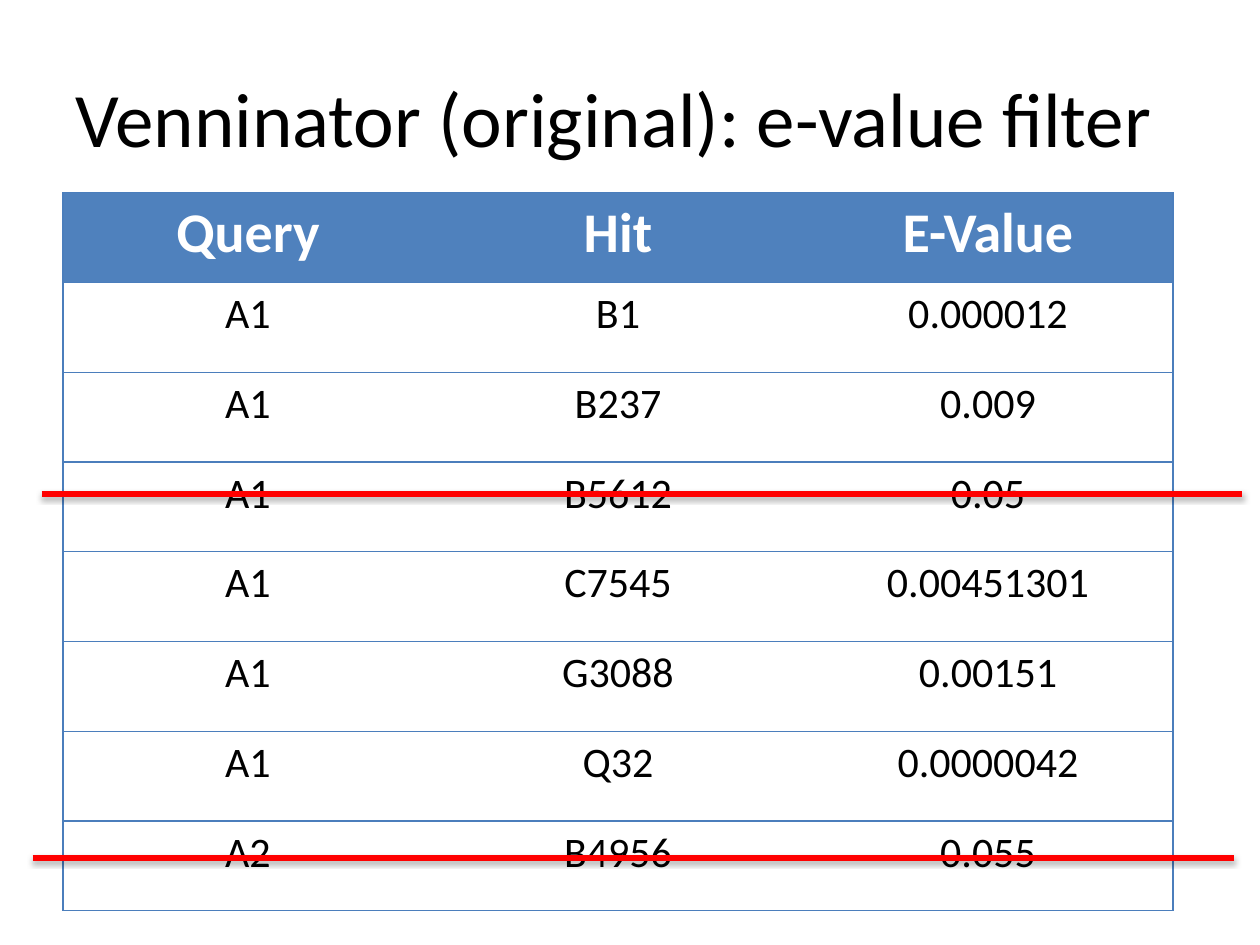
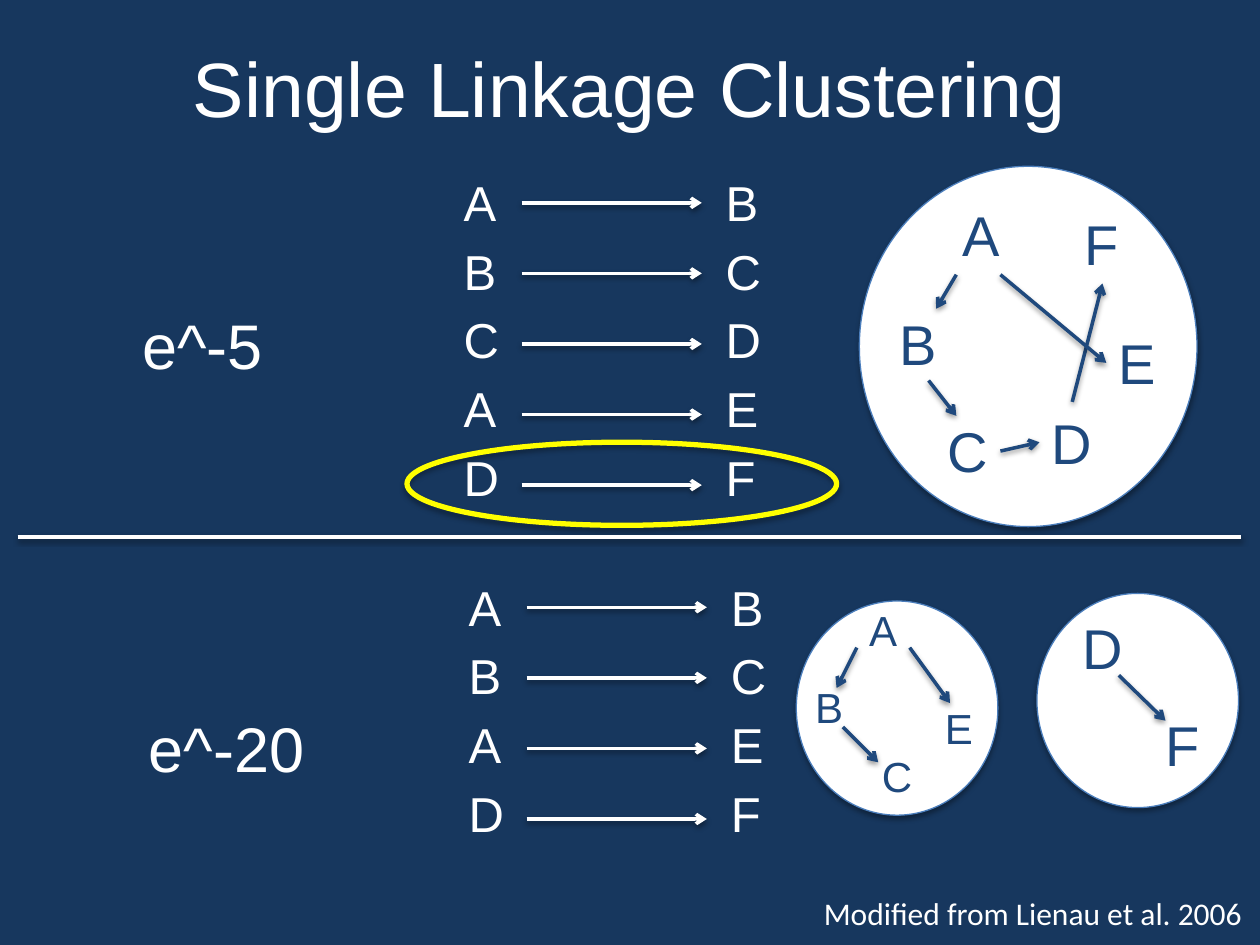
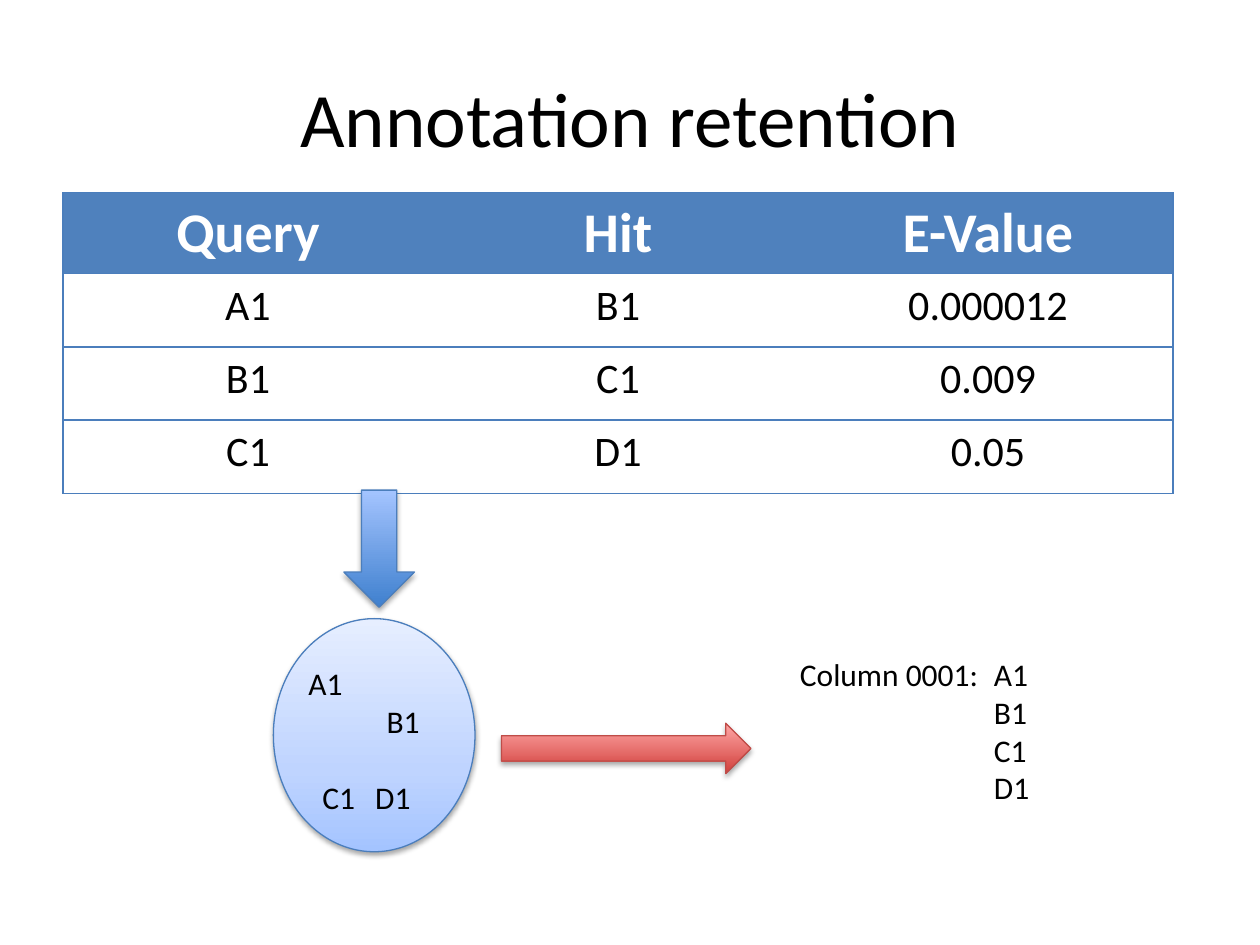
from dataclasses import dataclass

from lxml import etree
from pptx import Presentation
from pptx import util as u
from pptx.dml.color import RGBColor
from pptx.enum import shapes, text
from pptx.oxml.ns import qn

COLS, ROWS = 10, 7.5  # slide grid
PLAIN_TABLE = "{2D5ABB26-0587-4C30-8999-92F81FD0307C}"


@dataclass(frozen=True)
class Theme:
    sans: str = "Arial"
    body: str = "Calibri"
    black: str = "000000"
    white: str = "FFFFFF"
    navy: str = "17375E"
    ink: str = "1F497D"
    header: str = "4F81BD"
    edge: str = "4B7EBC"
    red: str = "FF0000"
    red_edge: str = "BF4C48"
    yellow: str = "FFFF00"
    blue_fade: tuple = ((0, "3F80CE"), (100, "A4C4FF"))
    pale_fade: tuple = ((0, "A4C4FF"), (35, "BFD4FF"), (100, "E6EEFF"))
    red_fade: tuple = ((0, "D1403C"), (100, "FFA6A5"))
    title: int = 44
    level: int = 36
    head: int = 32
    pair: int = 28
    cell: int = 24
    note: int = 18
    hair: float = 0.75
    thin: float = 2
    bold: float = 3


T = Theme()
ADVANCE = {"A": 0.67, "B": 0.67, "C": 0.72, "D": 0.72, "E": 0.67, "F": 0.61}


def grid(*lengths):
    """Turn grid columns or rows into slide lengths."""
    return [u.Inches(n) for n in lengths]


def rgb(color):
    return RGBColor.from_string(color)


def xml(parent, tag, **attrs):
    return etree.SubElement(parent, qn(tag), {k: str(v) for k, v in attrs.items()})


# ---- formatting ----
def style_text(tf, size, color, font=T.body, bold=False, align=None):
    for p in tf.paragraphs:
        p.alignment = align
        for r in p.runs:
            r.font.size, r.font.name, r.font.bold = u.Pt(size), font, bold
            r.font.color.rgb = rgb(color)


def set_tabs(p, *stops):
    tabs = xml(p._p.get_or_add_pPr(), "a:tabLst")
    for stop in grid(*stops):
        xml(tabs, "a:tab", pos=stop, algn="l")


def add_shadow(sp, blur=3.1, dist=1.6, alpha=38):
    spPr = sp._element.spPr
    effects = spPr.find(qn("a:effectLst"))
    if effects is None:
        effects = xml(spPr, "a:effectLst")
    outer = xml(effects, "a:outerShdw", blurRad=u.Pt(blur), dist=u.Pt(dist),
                dir=90 * 60000, rotWithShape=0)
    xml(xml(outer, "a:srgbClr", val=T.black), "a:alpha", val=alpha * 1000)


def fade(sp, stops):
    sp.fill.gradient()
    sp.fill.gradient_angle = 90
    gs_list = sp._element.spPr.find(qn("a:gradFill")).find(qn("a:gsLst"))
    for gs in list(gs_list):
        gs_list.remove(gs)
    for pos, color in stops:
        xml(xml(gs_list, "a:gs", pos=pos * 1000), "a:srgbClr", val=color)


# ---- elements ----
def new_slide(prs, layout, title, box, color=T.black, font=T.body, align=text.PP_ALIGN.CENTER):
    slide = prs.slides.add_slide(prs.slide_layouts.get_by_name(layout))
    sp = slide.shapes.title
    sp.left, sp.top, sp.width, sp.height = grid(*box)
    sp.text_frame.text = title
    style_text(sp.text_frame, T.title, color, font, align=align)
    return slide


def add_figure(slide, kind, box, fill=None, line=T.edge, width=T.hair):
    sp = slide.shapes.add_shape(kind, *grid(*box))
    sp.shadow.inherit = False
    if fill is None:
        sp.fill.background()
    elif isinstance(fill, tuple):
        fade(sp, fill)
    else:
        sp.fill.solid()
        sp.fill.fore_color.rgb = rgb(fill)
    sp.line.color.rgb, sp.line.width = rgb(line), u.Pt(width)
    add_shadow(sp, dist=1.8, alpha=35)


def add_line(slide, start, end, color, width=T.thin, arrow=False):
    cx = slide.shapes.add_connector(shapes.MSO_CONNECTOR.STRAIGHT, *grid(*start, *end))
    cx.line.color.rgb, cx.line.width = rgb(color), u.Pt(width)
    if arrow:
        xml(cx.line._get_or_add_ln(), "a:tailEnd", type="arrow")
    add_shadow(cx)


def add_label(slide, words, at, width, size, color, font=T.sans, wrap=False):
    lines = words.count("\n") + 1
    height = lines * size * 1.2 / 72 + 0.1
    tf = slide.shapes.add_textbox(*grid(*at, width, height)).text_frame
    tf.text = words
    tf.word_wrap = wrap
    tf.auto_size = text.MSO_AUTO_SIZE.SHAPE_TO_FIT_TEXT
    style_text(tf, size, color, font)
    return tf


def add_hits(slide, row_height, rows):
    """Table of query, hit and e-value with ruled rows and no inner columns."""
    rows = [("Query", "Hit", "E-Value"), *rows]
    frame = slide.shapes.add_table(len(rows), 3, *grid(0.5, 1.53, 8.81, row_height * len(rows)))
    tbl = frame.table
    tbl._tbl.tblPr.find(qn("a:tableStyleId")).text = PLAIN_TABLE
    tbl.horz_banding = False
    for i, row in enumerate(rows):
        for j, value in enumerate(row):
            cell = tbl.cell(i, j)
            sides = ["L"] * (j == 0) + ["R"] * (j == 2) + ["T", "B"]
            for side in sides:
                ln = xml(cell._tc.get_or_add_tcPr(), f"a:ln{side}", w=u.Pt(T.hair))
                xml(xml(ln, "a:solidFill"), "a:srgbClr", val=T.edge)
            cell.fill.solid()
            cell.fill.fore_color.rgb = rgb(T.white if i else T.header)
            cell.text = value
            size, color = (T.cell, T.black) if i else (T.head, T.white)
            style_text(cell.text_frame, size, color, bold=i == 0, align=text.PP_ALIGN.CENTER)


def fill_column(sp, left, top, letters):
    """One column of letters in a body placeholder, without bullets."""
    sp.left, sp.top, sp.width, sp.height = grid(left, top, 0.6, 2.86)
    tf = sp.text_frame
    tf.text = "\n".join(letters)
    tf.auto_size = text.MSO_AUTO_SIZE.NONE
    tf.vertical_anchor = text.MSO_ANCHOR.TOP
    style_text(tf, T.pair, T.white, T.sans)
    for p in tf.paragraphs:
        pPr = p._p.get_or_add_pPr()
        pPr.set("marL", "0")
        pPr.set("indent", "0")
        xml(pPr, "a:buNone")


def add_pairs(slide, columns, left, top, pairs):
    """Linked pairs: sources, targets and an arrow between them on each row."""
    for sp, x, letters in zip(columns, (left, left + 2.08), zip(*pairs)):
        fill_column(sp, x, top, letters)
    for i in range(len(pairs)):
        y = top + 0.29 + 0.56 * i
        add_line(slide, (left + 0.56, y), (left + 1.99, y), T.white, arrow=True)


def add_cluster(slide, oval, size, letters, links):
    add_figure(slide, shapes.MSO_SHAPE.OVAL, oval, T.white)
    for letter, at in letters.items():
        add_label(slide, letter, at, ADVANCE[letter] * size / 72 + 0.2, size, T.ink)
    for start, end in links:
        add_line(slide, start, end, T.ink, arrow=True)


# ---- slides ----
def filter_slide(prs):
    slide = new_slide(prs, "Title Only", "Venninator (original): e-value filter",
                      (0.5, 0.3, 9.29, 1.25), align=text.PP_ALIGN.LEFT)
    add_hits(slide, 5.7 / 8, [
        ("A1", "B1", "0.000012"), ("A1", "B237", "0.009"), ("A1", "B5612", "0.05"),
        ("A1", "C7545", "0.00451301"), ("A1", "G3088", "0.00151"),
        ("A1", "Q32", "0.0000042"), ("A2", "B4956", "0.055")])
    # Rejected hits
    for x, y in ((0.33, 3.92), (0.26, 6.81)):
        add_line(slide, (x, y), (x + 9.53, y), T.red, T.bold)


def clustering_slide(prs):
    slide = new_slide(prs, "Comparison", "Single Linkage Clustering",
                      (0.5, 0.06, 9, 1.25), T.white, T.sans)
    slide.background.fill.solid()
    slide.background.fill.fore_color.rgb = rgb(T.navy)
    columns = list(slide.placeholders)[1:5]

    # Loose threshold: one cluster
    add_pairs(slide, columns[:2], 3.58, 1.32, ("AB", "BC", "CD", "AE", "DF"))
    add_label(slide, "e^-5", (1.03, 2.38), 1.17, T.level, T.white)
    add_cluster(
        slide, (6.82, 1.32, 2.68, 2.86), T.head,
        {"A": (7.54, 1.54), "B": (7.04, 2.41), "C": (7.42, 3.26),
         "D": (8.25, 3.19), "E": (8.78, 2.56), "F": (8.51, 1.61)},
        [((7.59, 2.18), (7.43, 2.45)), ((7.37, 3.02), (7.59, 3.3)),
         ((7.94, 3.58), (8.25, 3.51)), ((8.51, 3.19), (8.75, 2.25)),
         ((7.94, 2.18), (8.78, 2.88))])
    add_figure(slide, shapes.MSO_SHAPE.OVAL, (3.23, 3.51, 3.41, 0.66), None, T.yellow, T.bold)

    add_line(slide, (0.14, 4.26), (9.85, 4.26), T.white)

    # Strict threshold: two clusters
    add_pairs(slide, columns[2:], 3.62, 4.53, ("AB", "BC", "AE", "DF"))
    add_label(slide, "e^-20", (1.08, 5.58), 1.45, T.level, T.white)
    add_cluster(
        slide, (6.32, 4.77, 1.6, 1.7), T.cell,
        {"A": (6.8, 4.75), "B": (6.37, 5.36), "C": (6.9, 5.91), "E": (7.4, 5.53)},
        [((6.69, 5.77), (6.97, 6.05)), ((7.22, 5.14), (7.54, 5.58)),
         ((6.8, 5.14), (6.64, 5.46))])
    add_cluster(slide, (8.23, 4.71, 1.6, 1.7), T.head,
                {"D": (8.49, 4.82), "F": (9.15, 5.59)}, [((8.88, 5.36), (9.25, 5.72))])

    add_label(slide, "Modified from Lienau et al. 2006", (6.44, 7.05), 3.56,
              T.note, T.white, T.body)


def annotation_slide(prs):
    slide = new_slide(prs, "Title Only", "Annotation retention", (0.5, 0.3, 9, 1.25))
    add_hits(slide, 0.58, [("A1", "B1", "0.000012"), ("B1", "C1", "0.009"), ("C1", "D1", "0.05")])

    # Table to cluster to column
    kind = shapes.MSO_SHAPE
    add_figure(slide, kind.DOWN_ARROW, (2.73, 3.89, 0.56, 0.93), T.blue_fade)
    add_figure(slide, kind.OVAL, (2.17, 4.91, 1.6, 1.85), T.pale_fade)
    add_figure(slide, kind.RIGHT_ARROW, (3.98, 5.74, 1.98, 0.4), T.red_fade, T.red_edge)

    members = add_label(slide, "A1\n\tB1\n\tC1\tD1", (2.35, 5.22), 1.43,
                        T.note, T.black, T.body, wrap=True).paragraphs
    members[2].space_before = u.Pt(22)
    set_tabs(members[1], 0.62)
    set_tabs(members[2], 0.11, 0.53)

    column = add_label(slide, "Column 0001:\tA1\n\tB1\n\tC1\n\tD1", (6.25, 5.15), 3.25,
                       T.note, T.black, T.body, wrap=True)
    for p in column.paragraphs:
        set_tabs(p, 1.54)


def main():
    prs = Presentation()
    prs.slide_width, prs.slide_height = grid(COLS, ROWS)
    filter_slide(prs)
    clustering_slide(prs)
    annotation_slide(prs)
    prs.save("out.pptx")


if __name__ == "__main__":
    main()
